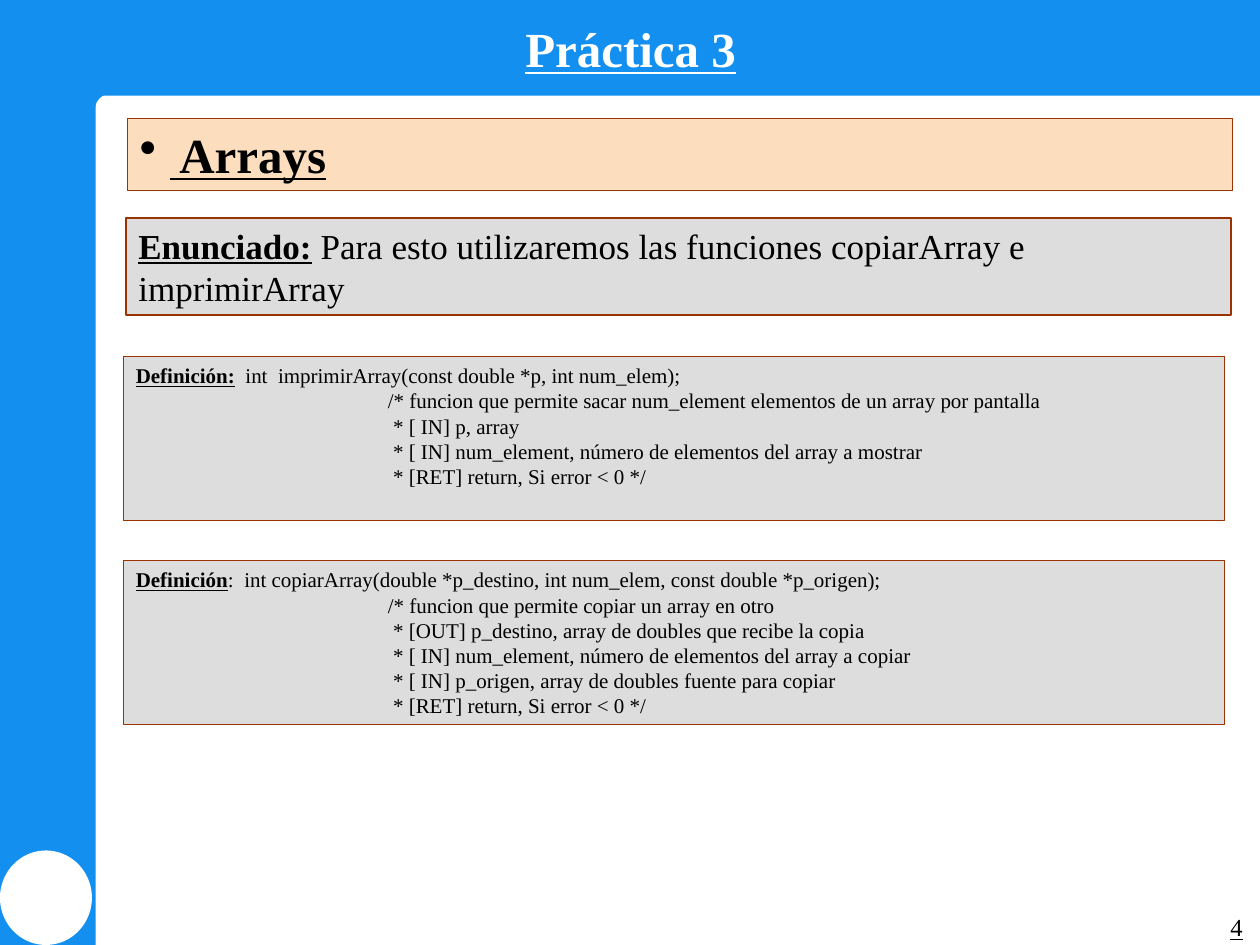
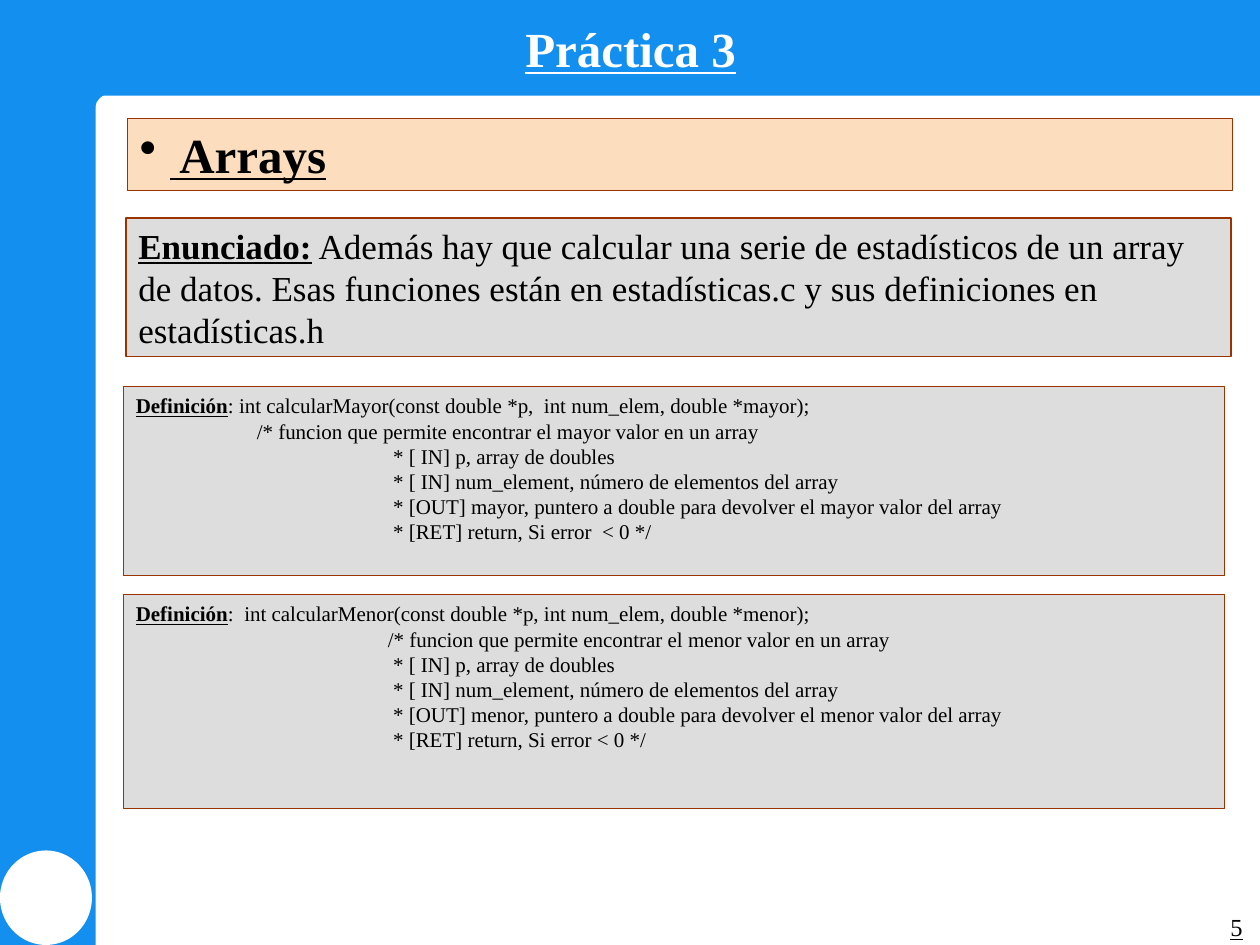
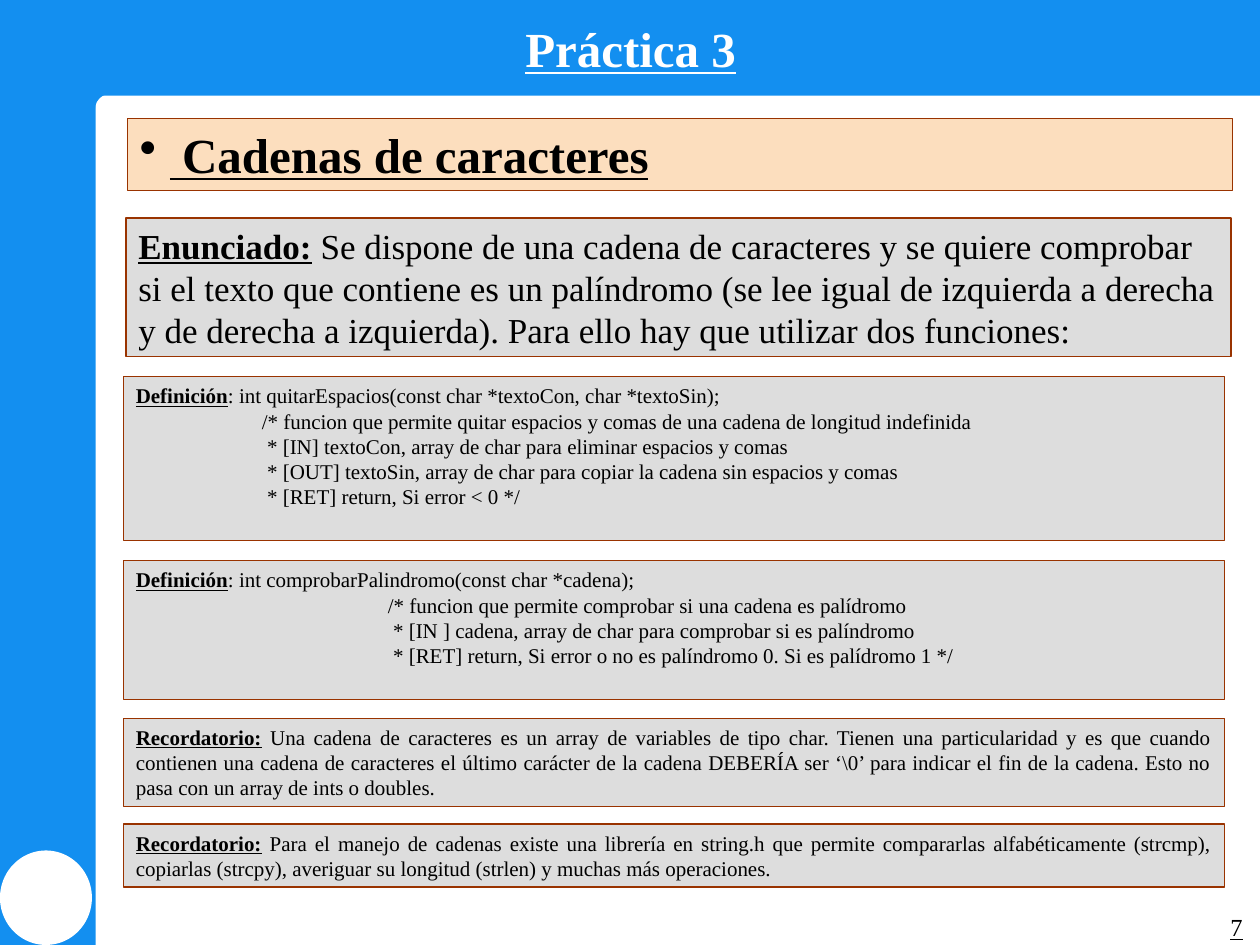
from lxml import etree
from pptx import Presentation
from pptx.dml.color import RGBColor
from pptx.enum.shapes import MSO_SHAPE
from pptx.enum.text import MSO_ANCHOR, PP_ALIGN
from pptx.oxml.ns import qn
from pptx.util import Inches, Pt

RECTANGLE, OVAL, PLAQUE = MSO_SHAPE.RECTANGLE, MSO_SHAPE.OVAL, MSO_SHAPE.PLAQUE
TOP = MSO_ANCHOR.TOP
LEFT, CENTER, RIGHT, JUSTIFY = PP_ALIGN.LEFT, PP_ALIGN.CENTER, PP_ALIGN.RIGHT, PP_ALIGN.JUSTIFY

# Shared style
FONT = "Times New Roman"
BLUE, WHITE, BLACK = "138FF0", "FFFFFF", "000000"
PEACH, GREY, BROWN = "FCDEBE", "DDDDDD", "993300"
TITLE_SIZE, STATEMENT_SIZE, BODY_SIZE, NUMBER_SIZE = 28, 20, 12, 14
BULLET_INDENT = 0.24
COMMENT_INDENT = 2


def color(hex_code):
    return RGBColor.from_string(hex_code)


# Basic elements
def add_block(page, kind, area, fill, line=None):
    block = page.shapes.add_shape(kind, *map(Inches, area))
    block.shadow.inherit = False
    block.fill.solid()
    block.fill.fore_color.rgb = color(fill)
    if line:
        block.line.color.rgb = color(line)
        block.line.width = Pt(0.75)
    else:
        block.line.fill.background()
    return block


def prepare_frame(box):
    frame = box.text_frame
    frame.word_wrap = True
    frame.vertical_anchor = TOP
    return frame


def add_span(para, text, size, ink=BLACK, bold=False, underline=False):
    span = para.add_run()
    span.text = text
    font = span.font
    font.name, font.size = FONT, Pt(size)
    font.bold, font.underline = bold, underline
    font.color.rgb = color(ink)


def set_indent(para, margin, first=0):
    properties = para._p.get_or_add_pPr()
    properties.set("marL", str(Inches(margin)))
    properties.set("indent", str(Inches(first)))
    return properties


def add_label(page, area, text, size, ink, align, bold):
    box = page.shapes.add_textbox(*map(Inches, area))
    para = prepare_frame(box).paragraphs[0]
    para.alignment = align
    add_span(para, text, size, ink, bold, underline=True)


# Panels
def add_panel(page, area, heading, text, size, align=LEFT):
    """Grey panel that opens with an underlined heading."""
    frame = prepare_frame(add_block(page, RECTANGLE, area, GREY, BROWN))
    para = frame.paragraphs[0]
    para.alignment = align
    add_span(para, heading, size, bold=True, underline=True)
    add_span(para, text, size)
    return frame


def add_topic(page, text):
    block = add_block(page, RECTANGLE, (1.01, 0.94, 8.77, 0.57), PEACH, BROWN)
    para = prepare_frame(block).paragraphs[0]
    para.alignment = JUSTIFY
    properties = set_indent(para, BULLET_INDENT, -BULLET_INDENT)
    etree.SubElement(properties, qn("a:buChar")).set("char", "•")
    add_span(para, text, TITLE_SIZE, bold=True, underline=True)


def add_statement(page, height, text):
    add_panel(page, (1, 1.73, 8.77, height), "Enunciado:", text, STATEMENT_SIZE)


def add_definition(page, top, height, signature, comment,
                   heading="Definición", indent=COMMENT_INDENT, first_indent=None):
    frame = add_panel(page, (0.98, top, 8.74, height), heading, signature, BODY_SIZE)
    for index, text in enumerate(comment):
        para = frame.add_paragraph()
        para.alignment = LEFT
        opening = index == 0 and first_indent is not None
        set_indent(para, first_indent if opening else indent)
        add_span(para, text, BODY_SIZE)


def add_reminder(page, top, height, text):
    add_panel(page, (0.98, top, 8.74, height), "Recordatorio:", text, BODY_SIZE, JUSTIFY)


# Common page frame
def add_page(deck, number, topic):
    page = deck.slides.add_slide(deck.slide_layouts[6])
    add_block(page, RECTANGLE, (0, 0.69, 0.76, 6.81), BLUE)
    add_block(page, RECTANGLE, (0, 0, 10, 0.76), BLUE)
    add_block(page, OVAL, (0, 6.75, 0.73, 0.75), WHITE)
    add_block(page, PLAQUE, (0.05, 0.11, 0.83, 0.76), BLUE)
    add_label(page, (6.98, 7.19, 2.98, 0.52), str(number), NUMBER_SIZE, BLACK, RIGHT, False)
    add_label(page, (1.44, 0.1, 7.13, 0.57), "Práctica 3", TITLE_SIZE, WHITE, CENTER, True)
    add_topic(page, topic)
    return page


# Pages
def build_copy_page(deck):
    page = add_page(deck, 4, " Arrays")
    add_statement(page, 0.77, " Para esto utilizaremos las funciones copiarArray e imprimirArray")
    add_definition(page, 2.83, 1.3, "  int  imprimirArray(const double *p, int num_elem);", [
        "/* funcion que permite sacar num_element elementos de un array por pantalla",
        " * [ IN] p, array",
        " * [ IN] num_element, número de elementos del array a mostrar",
        " * [RET] return, Si error < 0 */",
    ], heading="Definición:")
    add_definition(
        page, 4.45, 1.3,
        ":  int copiarArray(double *p_destino, int num_elem, const double *p_origen);", [
            "/* funcion que permite copiar un array en otro",
            " * [OUT] p_destino, array de doubles que recibe la copia",
            " * [ IN] num_element, número de elementos del array a copiar",
            " * [ IN] p_origen, array de doubles fuente para copiar",
            " * [RET] return, Si error < 0 */",
        ])


def extreme_comment(name, ending):
    return [
        f"/* funcion que permite encontrar el {name} valor en un array",
        " * [ IN] p, array de doubles",
        " * [ IN] num_element, número de elementos del array",
        f" * [OUT] {name}, puntero a double para devolver el {name} valor del array",
        f" * [RET] return, Si error{ending}",
    ]


def build_statistics_page(deck):
    page = add_page(deck, 5, " Arrays")
    add_statement(page, 1.1, " Además hay que calcular una serie de estadísticos de un array de datos. "
                  "Esas funciones están en estadísticas.c y sus definiciones en estadísticas.h")
    add_definition(page, 3.07, 1.5,
                   ": int calcularMayor(const double *p,  int num_elem, double *mayor);",
                   extreme_comment("mayor", "  < 0 */"), first_indent=0.96)
    add_definition(page, 4.72, 1.7,
                   ":  int calcularMenor(const double *p, int num_elem, double *menor);",
                   extreme_comment("menor", " < 0 */"))


def build_strings_page(deck):
    page = add_page(deck, 7, " Cadenas de caracteres")
    add_statement(page, 1.1, " Se dispone de una cadena de caracteres y se quiere comprobar si el texto "
                  "que contiene es un palíndromo (se lee igual de izquierda a derecha y de derecha a "
                  "izquierda). Para ello hay que utilizar dos funciones:")
    add_definition(page, 2.99, 1.3, ": int quitarEspacios(const char *textoCon, char *textoSin);", [
        "/* funcion que permite quitar espacios y comas de una cadena de longitud indefinida",
        " * [IN] textoCon, array de char para eliminar espacios y comas",
        " * [OUT] textoSin, array de char para copiar la cadena sin espacios y comas",
        " * [RET] return, Si error < 0 */",
    ], indent=1)
    add_definition(page, 4.45, 1.1, ": int comprobarPalindromo(const char *cadena);", [
        "/* funcion que permite comprobar si una cadena es palídromo",
        " * [IN ] cadena, array de char para comprobar si es palíndromo",
        " * [RET] return, Si error o no es palíndromo 0. Si es palídromo 1 */",
    ])
    add_reminder(page, 5.7, 0.7, " Una cadena de caracteres es un array de variables de tipo char. Tienen "
                 "una particularidad y es que cuando contienen una cadena de caracteres el último "
                 "carácter de la cadena DEBERÍA ser ‘\\0’ para indicar el fin de la cadena. Esto no "
                 "pasa con un array de ints o doubles.")
    add_reminder(page, 6.54, 0.5, " Para el manejo de cadenas existe una librería en string.h que permite "
                 "compararlas alfabéticamente (strcmp), copiarlas (strcpy), averiguar su longitud "
                 "(strlen) y muchas más operaciones.")


def main():
    deck = Presentation()
    deck.slide_width, deck.slide_height = Inches(10), Inches(7.5)
    build_copy_page(deck)
    build_statistics_page(deck)
    build_strings_page(deck)
    deck.save("out.pptx")


if __name__ == "__main__":
    main()
